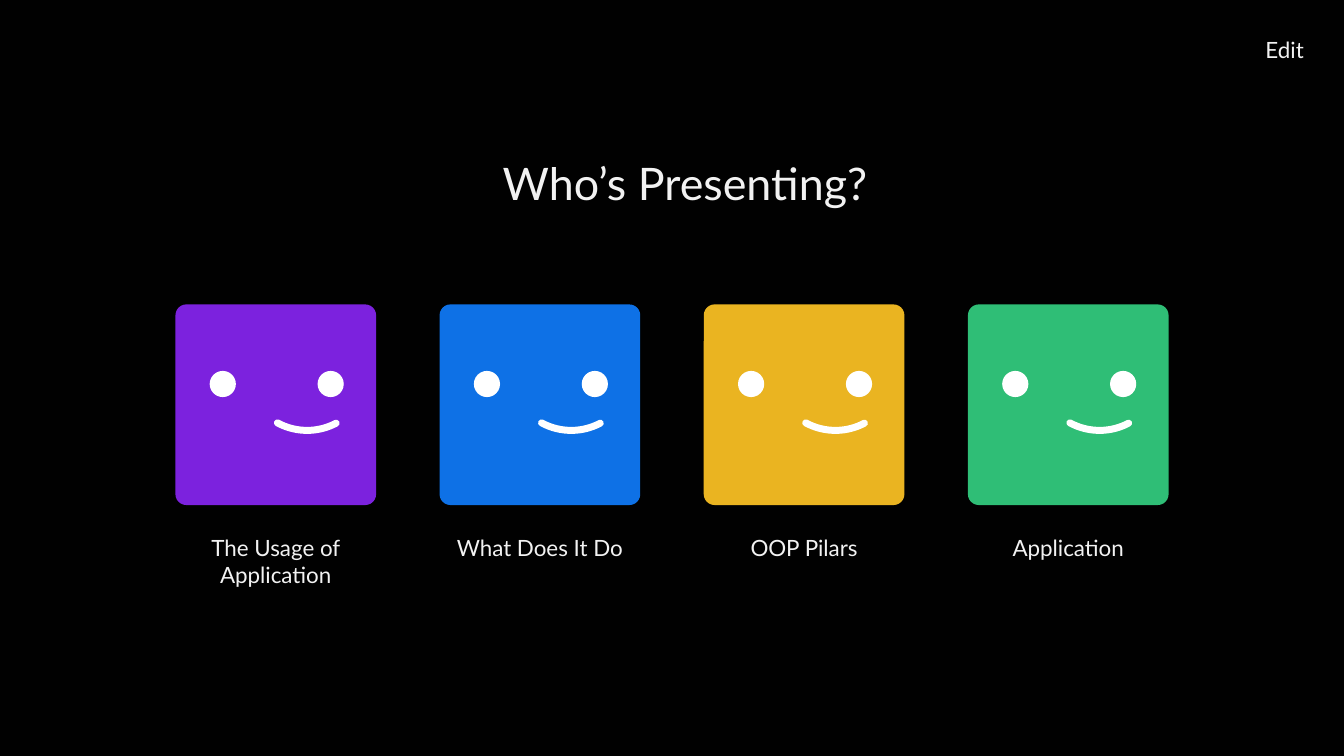
from dataclasses import dataclass

from pptx import Presentation
from pptx.dml.color import RGBColor
from pptx.enum.shapes import MSO_SHAPE
from pptx.enum.text import MSO_AUTO_SIZE, PP_ALIGN
from pptx.oxml.ns import qn
from pptx.shapes.autoshape import Shape
from pptx.shapes.group import GroupShape
from pptx.slide import Slide
from pptx.util import Inches, Pt

WHITE = "FFFFFF"
LEFT, TOP, SIDE, PITCH = 1.74, 3.02, 1.99, 2.62


@dataclass
class Tile:
    label: str
    color: str
    height: float = 0.37


TILES = [
    Tile("The Usage of Application", "7C22DE", 0.64),
    Tile("What Does It Do", "0E71E6"),
    Tile("OOP Pilars", "EAB421"),
    Tile("Application", "2FBE76"),
]


def rgb(color: str) -> RGBColor:
    return RGBColor.from_string(color)


def add_text(slide: Slide, text: str, x: float, y: float, w: float, h: float, *,
             size: int = 16, align: PP_ALIGN = PP_ALIGN.CENTER) -> None:
    box = slide.shapes.add_textbox(Inches(x), Inches(y), Inches(w), Inches(h))
    frame = box.text_frame
    frame.word_wrap = True
    frame.auto_size = MSO_AUTO_SIZE.SHAPE_TO_FIT_TEXT
    para = frame.paragraphs[0]
    para.alignment = align
    run = para.add_run()
    run.text = text
    run.font.name = "Lato"
    run.font.size = Pt(size)
    run.font.color.rgb = rgb("F2F2F2")


def add_part(group: GroupShape, kind: MSO_SHAPE, x: float, y: float,
             size: float, fill: str | None = None) -> Shape:
    """Add a square-framed shape without outline or shadow."""
    part = group.shapes.add_shape(kind, Inches(x), Inches(y), Inches(size), Inches(size))
    part.shadow.inherit = False
    part.line.fill.background()
    if fill:
        part.fill.solid()
        part.fill.fore_color.rgb = rgb(fill)
    else:
        part.fill.background()
    return part


def add_face(slide: Slide, x: float, color: str) -> None:
    group = slide.shapes.add_group_shape()
    card = add_part(group, MSO_SHAPE.ROUNDED_RECTANGLE, x, TOP, SIDE, color)
    card.adjustments[0] = 0.054
    for shift in (0.34, 1.41):
        add_part(group, MSO_SHAPE.OVAL, x + shift, TOP + 0.66, 0.26, WHITE)

    smile = add_part(group, MSO_SHAPE.ARC, x + 0.69, TOP + 0.02, 1.23)
    smile.adjustments[0] = 182.08
    smile.adjustments[1] = 0
    smile.rotation = 118.6
    smile.line.color.rgb = rgb(WHITE)
    smile.line.width = Pt(5)
    smile.element.spPr.find(qn("a:ln")).set("cap", "rnd")


def main() -> None:
    deck = Presentation()
    deck.slide_width = Inches(13.33)
    deck.slide_height = Inches(7.5)
    slide = deck.slides.add_slide(deck.slide_layouts[6])
    slide.background.fill.solid()
    slide.background.fill.fore_color.rgb = rgb("010101")

    add_text(slide, "Edit", 12.3, 0.31, 0.73, 0.37, align=PP_ALIGN.RIGHT)
    add_text(slide, "Who’s Presenting?", 3.51, 1.5, 6.57, 0.64, size=32)
    for i, tile in enumerate(TILES):
        x = LEFT + i * PITCH
        add_face(slide, x, tile.color)
        add_text(slide, tile.label, x - 0.14, 5.25, 2.27, tile.height)

    deck.save("out.pptx")


if __name__ == "__main__":
    main()
